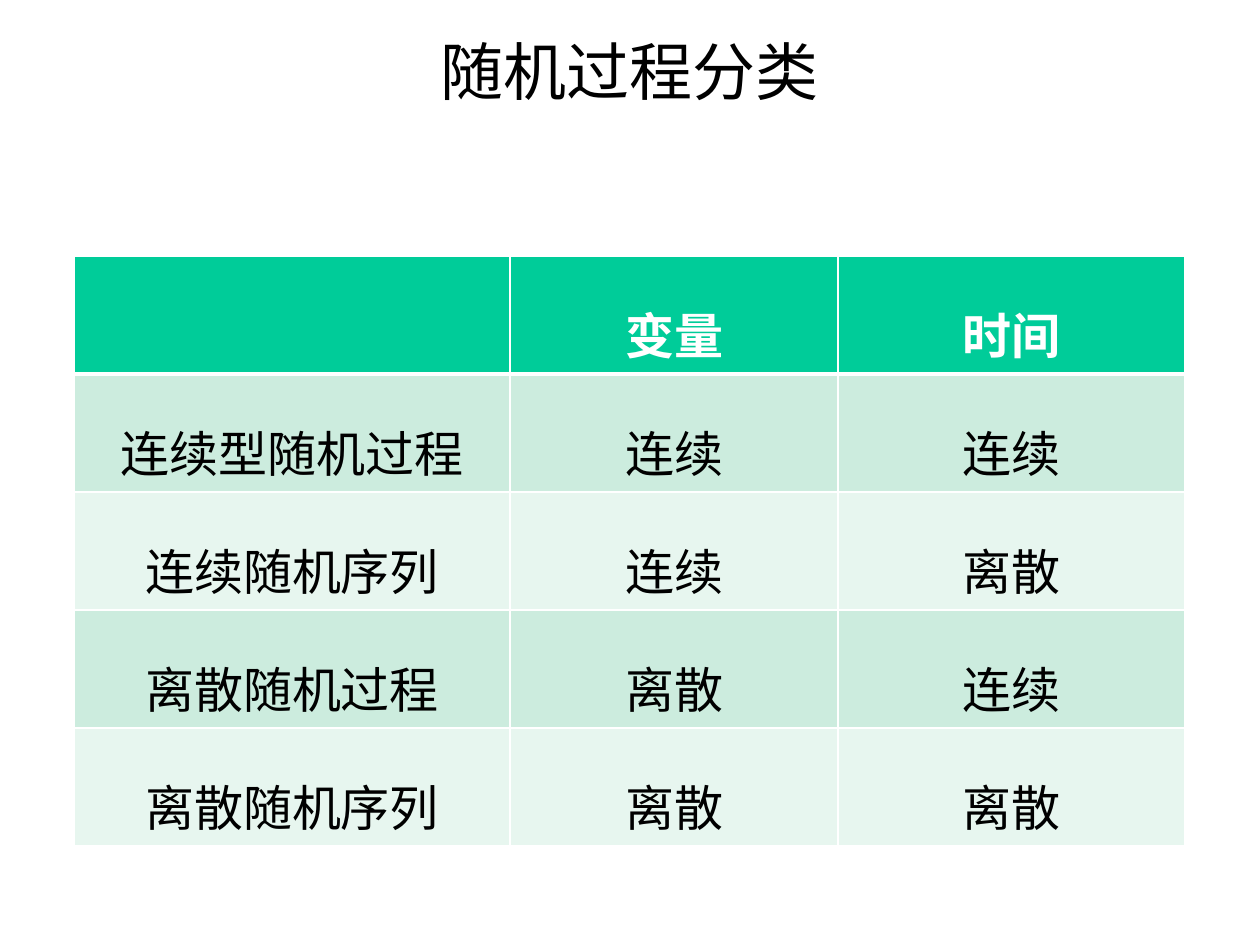
from lxml import etree
from pptx import Presentation
from pptx import util as u
from pptx.dml.color import RGBColor
from pptx.enum import text
from pptx.oxml.ns import qn

PX = 914400 / 126
COLORS = {
    "black": "000000",
    "white": "FFFFFF",
    "header": "00CC99",
    "band_dark": "CCECDE",
    "band_light": "E7F6EF",
}
COLUMN_WIDTHS = [436, 328, 347]
ROW_HEIGHT = 118
ROWS = [
    ["", "变量", "时间"],
    ["连续型随机过程", "连续", "连续"],
    ["连续随机序列", "连续", "离散"],
    ["离散随机过程", "离散", "连续"],
    ["离散随机序列", "离散", "离散"],
]


def px(length):
    return u.Emu(round(length * PX))


class SlideBuilder:
    font = "Times New Roman"
    title_size = 36
    table_size = 28

    def __init__(self, slide):
        self.slide = slide

    def format_font(self, font, size, color, bold=False):
        font.name = self.font
        font.size = u.Pt(size)
        font.bold = bold
        font.color.rgb = RGBColor.from_string(COLORS[color])

    def title(self, wording, left, top, width, height):
        shape = self.slide.shapes.add_textbox(px(left), px(top), px(width), px(height))
        frame = shape.text_frame
        frame.word_wrap = True
        frame.vertical_anchor = text.MSO_ANCHOR.TOP
        frame.text = wording
        paragraph = frame.paragraphs[0]
        paragraph.alignment = text.PP_ALIGN.CENTER
        self.format_font(paragraph.runs[0].font, self.title_size, "black")

    def borders(self, cell, widths):
        properties = cell._tc.get_or_add_tcPr()
        for index, (side, width) in enumerate(widths.items()):
            line = etree.Element(qn(f"a:ln{side}"), w=str(u.Pt(width)))
            fill = etree.SubElement(line, qn("a:solidFill"))
            etree.SubElement(fill, qn("a:srgbClr"), val=COLORS["white"])
            properties.insert(index, line)

    def cell(self, cell, wording, row):
        is_header = row == 0
        fill = "header" if is_header else "band_dark" if row % 2 else "band_light"
        cell.fill.solid()
        cell.fill.fore_color.rgb = RGBColor.from_string(COLORS[fill])
        self.borders(cell, {
            "L": 1,
            "R": 1,
            "T": 3 if row == 1 else 1,
            "B": 3 if is_header else 1,
        })
        cell.text_frame.text = wording
        paragraph = cell.text_frame.paragraphs[0]
        paragraph.alignment = text.PP_ALIGN.CENTER
        paragraph.line_spacing = 1.5
        color = "white" if is_header else "black"
        for run in paragraph.runs:
            self.format_font(run.font, self.table_size, color, is_header)

    def table(self, rows, column_widths, row_height, left, top):
        table = self.slide.shapes.add_table(
            len(rows), len(column_widths), px(left), px(top),
            px(sum(column_widths)), px(row_height * len(rows)),
        ).table
        for column, width in zip(table.columns, column_widths):
            column.width = px(width)
        for row_index, wordings in enumerate(rows):
            table.rows[row_index].height = px(row_height)
            for column_index, wording in enumerate(wordings):
                self.cell(table.cell(row_index, column_index), wording, row_index)


def main():
    presentation = Presentation()
    presentation.slide_width = px(1260)
    presentation.slide_height = px(945)
    slide = presentation.slides.add_slide(presentation.slide_layouts[6])
    builder = SlideBuilder(slide)
    builder.title("随机过程分类", 94, 26, 1072, 158)
    builder.table(ROWS, COLUMN_WIDTHS, ROW_HEIGHT, 74, 256)
    presentation.save("out.pptx")


if __name__ == "__main__":
    main()
